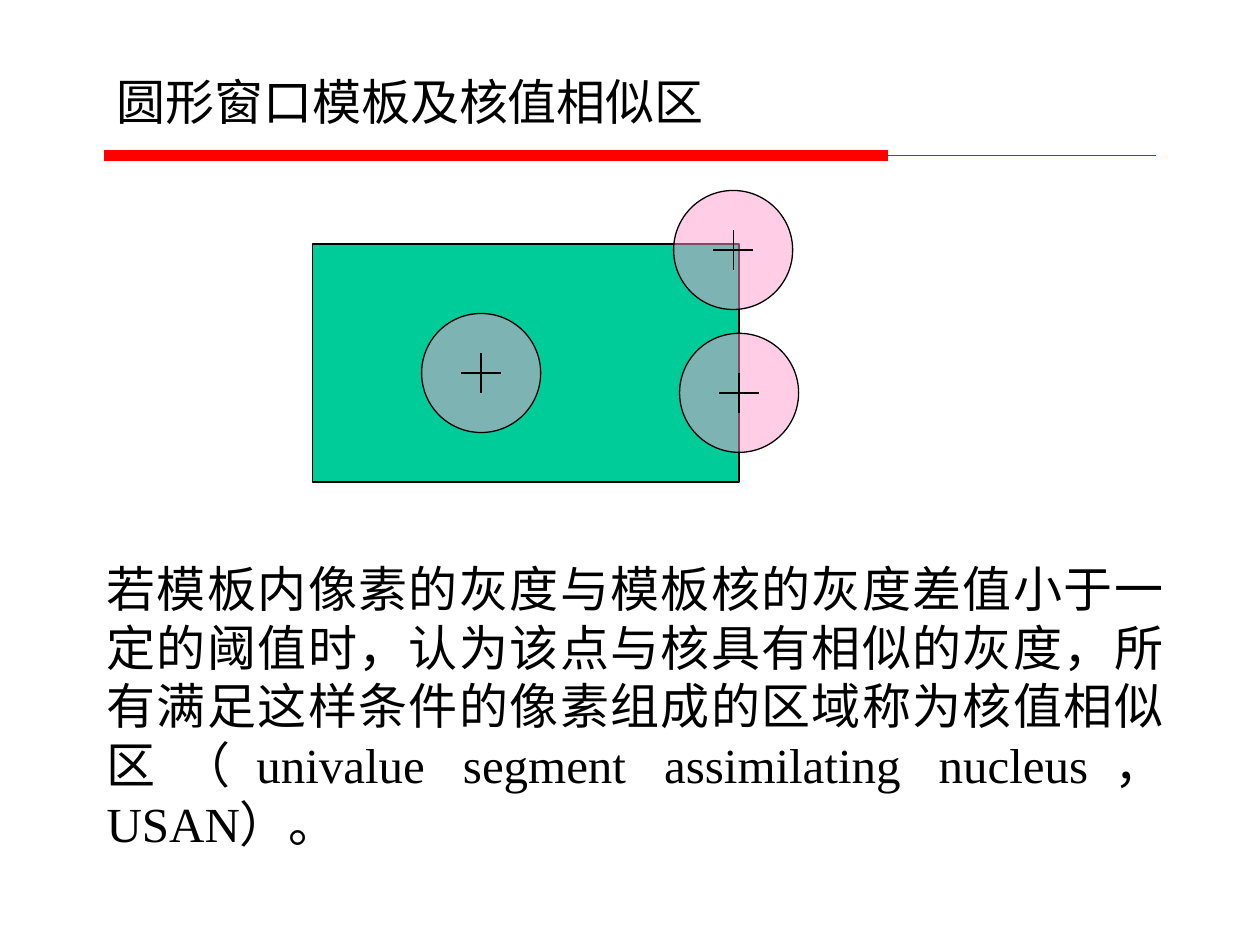
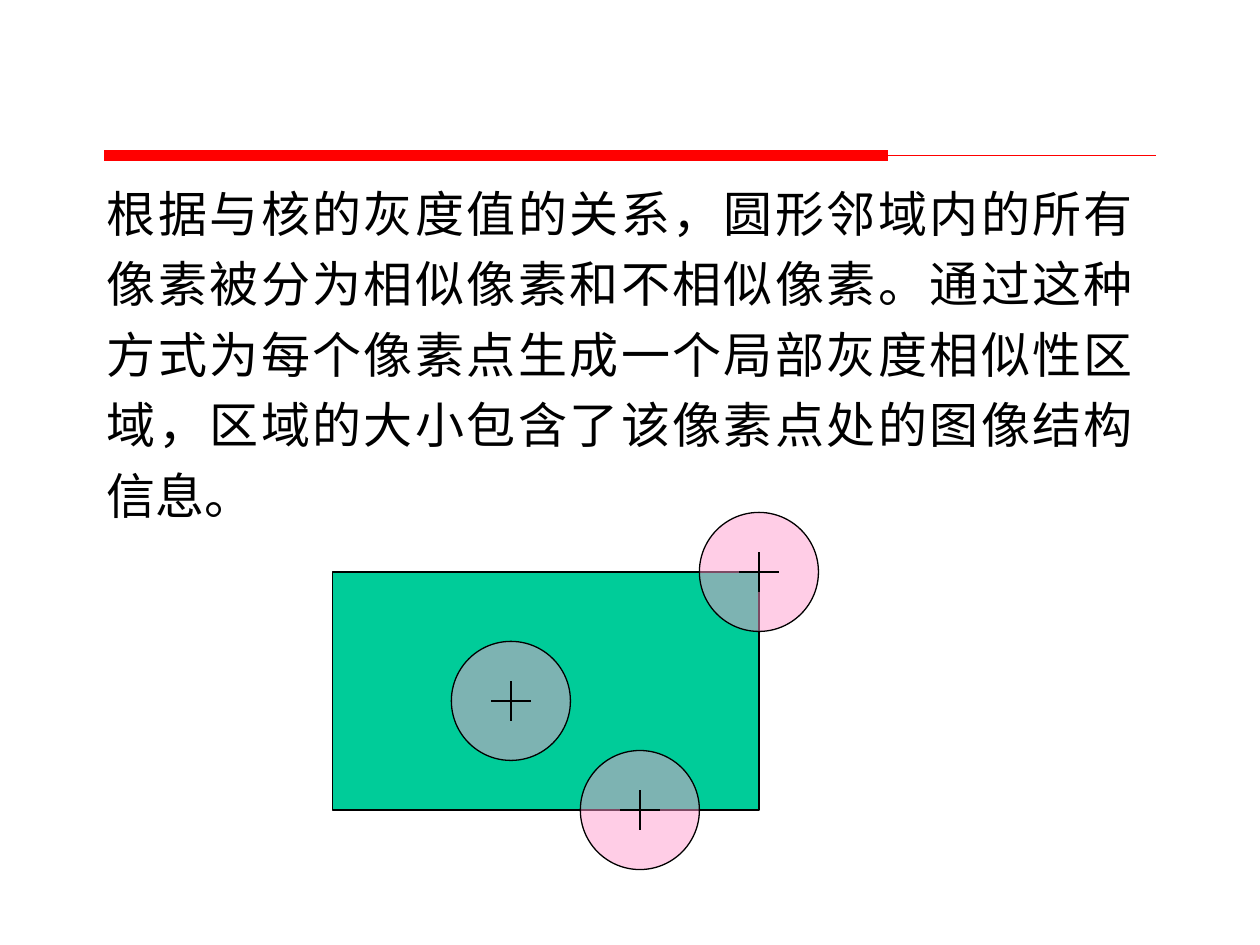
"""Build two slides on circular window templates and similar-value areas."""
import dataclasses

import lxml.etree
import pptx
import pptx.dml.color
import pptx.enum.shapes
import pptx.enum.text
import pptx.oxml.ns
import pptx.util

Cm = pptx.util.Cm
Pt = pptx.util.Pt
Align = pptx.enum.text.PP_ALIGN
Shape = pptx.enum.shapes.MSO_SHAPE


@dataclasses.dataclass(frozen=True)
class Theme:
    paper: str = "FFFFFF"
    ink: str = "000000"
    band: str = "FF0000"
    region: str = "00CC99"
    window: str = "FF99CC"
    window_opacity: int = 49
    font: str = "Times New Roman"
    text_size: float = 28
    space_before: float = 17.5
    thin: float = 0.75
    thick: float = 6


def color(code):
    return pptx.dml.color.RGBColor.from_string(code)


class SlideBuilder:
    region_width, region_height = 8.6, 4.8
    window_size, cross_size = 2.4, 0.8

    def __init__(self, deck, theme):
        self.deck = deck
        self.theme = theme
        self.slide = None

    def start_slide(self):
        self.slide = self.deck.slides.add_slide(self.deck.slide_layouts[6])
        fill = self.slide.background.fill
        fill.solid()
        fill.fore_color.rgb = color(self.theme.paper)
        shapes = self.slide.shapes
        self.line(shapes, (2.1, 3.13), (17.9, 3.13), self.theme.band, self.theme.thick)
        self.line(shapes, (2.29, 3.13), (23.3, 3.13), self.theme.band, self.theme.thin)

    def line(self, shapes, start, end, code, width):
        kind = pptx.enum.shapes.MSO_CONNECTOR.STRAIGHT
        ends = [Cm(value) for value in (*start, *end)]
        connector = shapes.add_connector(kind, *ends)
        connector.line.color.rgb = color(code)
        connector.line.width = Pt(width)
        properties = connector._element.spPr
        lxml.etree.SubElement(properties, pptx.oxml.ns.qn("a:effectLst"))

    def shape(self, shapes, kind, bounds, code, opacity=100):
        shape = shapes.add_shape(kind, *[Cm(value) for value in bounds])
        shape.shadow.inherit = False
        shape.fill.solid()
        shape.fill.fore_color.rgb = color(code)
        shape.line.color.rgb = color(self.theme.ink)
        shape.line.width = Pt(self.theme.thin)
        if opacity < 100:
            tint = shape._element.spPr.find(".//" + pptx.oxml.ns.qn("a:srgbClr"))
            alpha = lxml.etree.SubElement(tint, pptx.oxml.ns.qn("a:alpha"))
            alpha.set("val", str(opacity * 1000))

    def text(self, bounds, words, align=Align.LEFT, before=0, spacing=1.0):
        box = self.slide.shapes.add_textbox(*[Cm(value) for value in bounds])
        frame = box.text_frame
        frame.word_wrap = True
        frame.auto_size = pptx.enum.text.MSO_AUTO_SIZE.SHAPE_TO_FIT_TEXT
        frame.text = words
        para = frame.paragraphs[0]
        para.alignment = align
        para.space_before = Pt(before)
        para.line_spacing = spacing
        for span in para.runs:
            span.font.name = self.theme.font
            span.font.size = Pt(self.theme.text_size)
            span.font.color.rgb = color(self.theme.ink)

    def title(self, words):
        self.text((2.1, 1.32, 14.6, 1.45), words)

    def body(self, bounds, words, spacing=1.0):
        self.text(bounds, words, Align.JUSTIFY, self.theme.space_before, spacing)

    def window(self, x, y):
        shapes = self.slide.shapes.add_group_shape().shapes
        radius, arm = self.window_size / 2, self.cross_size / 2
        bounds = (x - radius, y - radius, self.window_size, self.window_size)
        self.shape(shapes, Shape.OVAL, bounds, self.theme.window,
                   self.theme.window_opacity)
        for dx, dy in ((arm, 0), (0, arm)):
            self.line(shapes, (x - dx, y - dy), (x + dx, y + dy),
                      self.theme.ink, self.theme.thin)

    def diagram(self, left, top, centres):
        bounds = (left, top, self.region_width, self.region_height)
        self.shape(self.slide.shapes, Shape.RECTANGLE, bounds, self.theme.region)
        for x, y in centres:
            self.window(left + x, top + y)


deck = pptx.Presentation()
deck.slide_width, deck.slide_height = Cm(25.4), Cm(19.05)
builder = SlideBuilder(deck, Theme())

builder.start_slide()
builder.diagram(6.3, 4.92, [(8.48, 0.12), (8.6, 3), (3.4, 2.6)])
builder.title("圆形窗口模板及核值相似区")
builder.body(
    (1.9, 11.13, 21.8, 6.2),
    "若模板内像素的灰度与模板核的灰度差值小于一定的阈值时，"
    "认为该点与核具有相似的灰度，所有满足这样条件的像素组成的区域"
    "称为核值相似区（univalue segment assimilating nucleus，USAN）。")

builder.start_slide()
builder.body(
    (1.9, 3.33, 21.2, 7.37),
    "根据与核的灰度值的关系，圆形邻域内的所有像素被分为相似像素和不相似像素。"
    "通过这种方式为每个像素点生成一个局部灰度相似性区域，"
    "区域的大小包含了该像素点处的图像结构信息。",
    spacing=1.2)
builder.diagram(6.7, 11.53, [(8.6, 0), (6.2, 4.8), (3.6, 2.6)])

deck.save("out.pptx")
